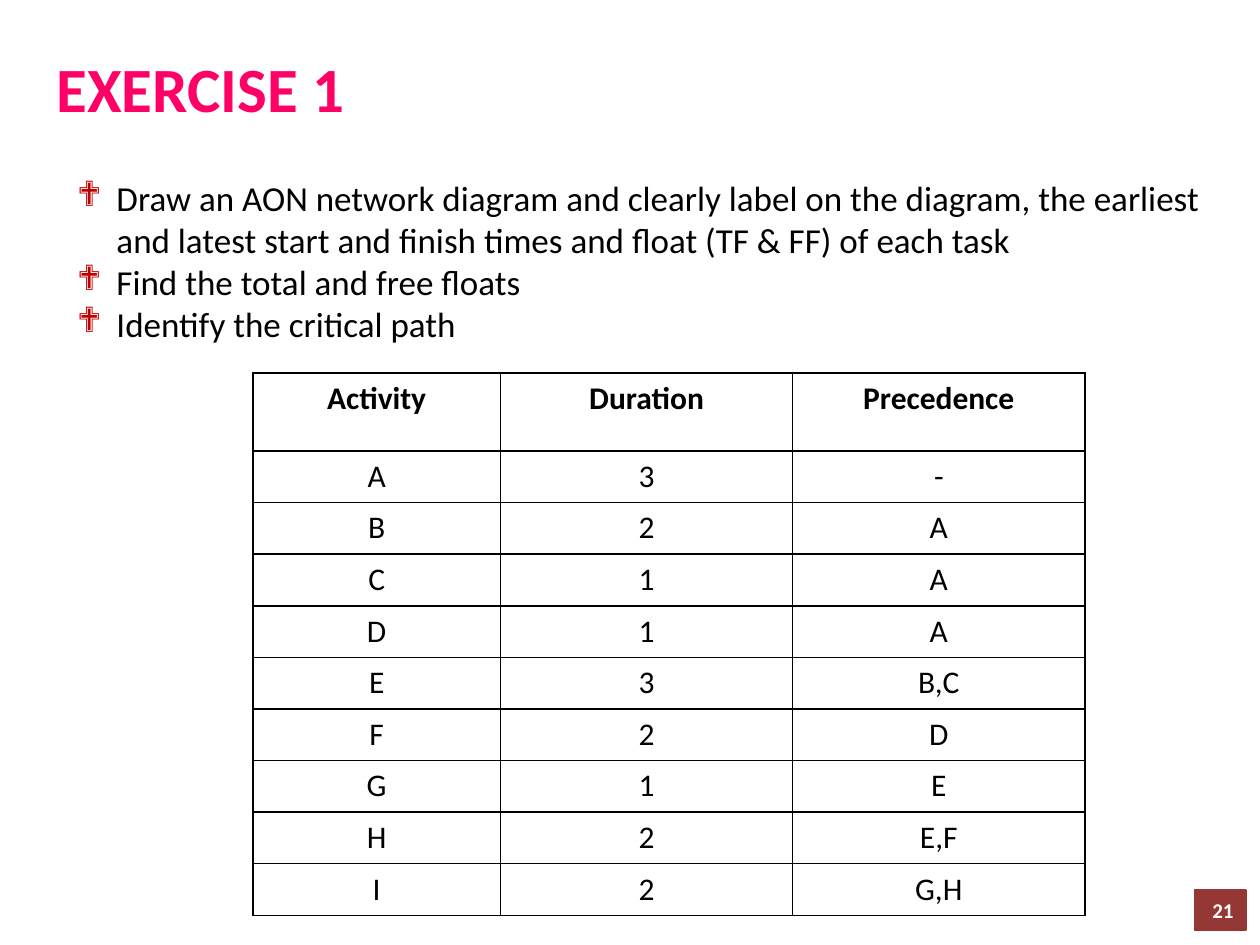
from dataclasses import dataclass
from typing import Any

from lxml import etree
from pptx import Presentation
from pptx.dml.color import RGBColor
from pptx.enum.shapes import MSO_SHAPE
from pptx.enum.text import MSO_ANCHOR, MSO_AUTO_SIZE, PP_ALIGN
from pptx.oxml.ns import qn
from pptx.util import Pt

LEFT, CENTER, RIGHT = PP_ALIGN.LEFT, PP_ALIGN.CENTER, PP_ALIGN.RIGHT
TOP, MIDDLE = MSO_ANCHOR.TOP, MSO_ANCHOR.MIDDLE
NO_AUTOFIT = MSO_AUTO_SIZE.NONE
RECTANGLE = MSO_SHAPE.RECTANGLE

BLACK = RGBColor(0x00, 0x00, 0x00)
WHITE = RGBColor(0xFF, 0xFF, 0xFF)
PINK = RGBColor(0xFF, 0x00, 0x66)
RED = RGBColor(0xC0, 0x00, 0x00)
MAROON = RGBColor(0x95, 0x37, 0x35)

TITLE_ONLY = 5
BULLET = "❖"

TASKS = [
    "Draw an AON network diagram and clearly label on the diagram, the earliest "
    "and latest start and finish times and float (TF & FF) of each task",
    "Find the total and free floats",
    "Identify the critical path",
]
ACTIVITIES = [
    ("Activity", "Duration", "Precedence"),
    ("A", "3", "-"),
    ("B", "2", "A"),
    ("C", "1", "A"),
    ("D", "1", "A"),
    ("E", "3", "B,C"),
    ("F", "2", "D"),
    ("G", "1", "E"),
    ("H", "2", "E,F"),
    ("I", "2", "G,H"),
]


def add_bullet(paragraph, indent, color):
    properties = paragraph._p.get_or_add_pPr()
    properties.set("marL", str(indent))
    properties.set("indent", str(-indent))
    bullet_color = etree.SubElement(properties, qn("a:buClr"))
    etree.SubElement(bullet_color, qn("a:srgbClr"), val=str(color))
    etree.SubElement(properties, qn("a:buFont"), typeface="Wingdings")
    etree.SubElement(properties, qn("a:buChar"), char=BULLET)


def add_borders(cell, width, color):
    properties = cell._tc.get_or_add_tcPr()
    for position, side in enumerate(("a:lnL", "a:lnR", "a:lnT", "a:lnB")):
        border = etree.Element(qn(side), w=str(width))
        fill = etree.SubElement(border, qn("a:solidFill"))
        etree.SubElement(fill, qn("a:srgbClr"), val=str(color))
        properties.insert(position, border)


@dataclass
class SlideBuilder:
    slide: Any
    font_name: str = "Calibri"
    text_color: RGBColor = BLACK
    border_width: int = Pt(1)

    def add_text(self, paragraph, text, size, color=None, bold=False, align=LEFT):
        paragraph.alignment = align
        run = paragraph.add_run()
        run.text = text
        run.font.name = self.font_name
        run.font.size = Pt(size)
        run.font.bold = bold
        run.font.color.rgb = color or self.text_color

    def title(self, text, left, top, width, height):
        title = self.slide.shapes.title
        title.left, title.top = Pt(left), Pt(top)
        title.width, title.height = Pt(width), Pt(height)
        frame = title.text_frame
        frame.auto_size = NO_AUTOFIT
        frame.vertical_anchor = TOP
        self.add_text(frame.paragraphs[0], text, 36, PINK, bold=True)

    def bullets(self, items, left, top, width, height):
        box = self.slide.shapes.add_textbox(Pt(left), Pt(top), Pt(width), Pt(height))
        frame = box.text_frame
        frame.word_wrap = True
        for index, item in enumerate(items):
            paragraph = frame.add_paragraph() if index else frame.paragraphs[0]
            add_bullet(paragraph, Pt(22.5), RED)
            self.add_text(paragraph, item, 20)

    def table(self, rows, left, top, column_widths, header_height, row_height):
        height = header_height + row_height * (len(rows) - 1)
        table = self.slide.shapes.add_table(
            len(rows), len(column_widths),
            Pt(left), Pt(top), Pt(sum(column_widths)), Pt(height),
        ).table
        table.horz_banding = False
        for column, width in zip(table.columns, column_widths):
            column.width = Pt(width)
        for index, (row, values) in enumerate(zip(table.rows, rows)):
            is_header = index == 0
            row.height = Pt(header_height if is_header else row_height)
            for cell, value in zip(row.cells, values):
                cell.fill.background()
                add_borders(cell, self.border_width, self.text_color)
                self.add_text(cell.text_frame.paragraphs[0], value, 18,
                              bold=is_header, align=CENTER)

    def page_number(self, number, left, top, width, height):
        badge = self.slide.shapes.add_shape(
            RECTANGLE, Pt(left), Pt(top), Pt(width), Pt(height))
        badge.shadow.inherit = False
        badge.fill.solid()
        badge.fill.fore_color.rgb = MAROON
        badge.line.color.rgb = MAROON
        badge.line.width = Pt(0.75)
        frame = badge.text_frame
        frame.vertical_anchor = MIDDLE
        self.add_text(frame.paragraphs[0], number, 12, WHITE, bold=True, align=RIGHT)


def main():
    presentation = Presentation()
    presentation.slide_width, presentation.slide_height = Pt(720), Pt(540)
    layout = presentation.slide_layouts[TITLE_ONLY]
    builder = SlideBuilder(presentation.slides.add_slide(layout))

    builder.table(ACTIVITIES, 144.5, 213.25, (141.5, 167, 167), 44.5, 29.5)
    builder.page_number("21", 682.5, 508.5, 29.5, 23)
    builder.title("EXERCISE 1", 25, 24.5, 476, 51)
    builder.bullets(TASKS, 37, 97.5, 657, 104)

    presentation.save("out.pptx")


if __name__ == "__main__":
    main()
